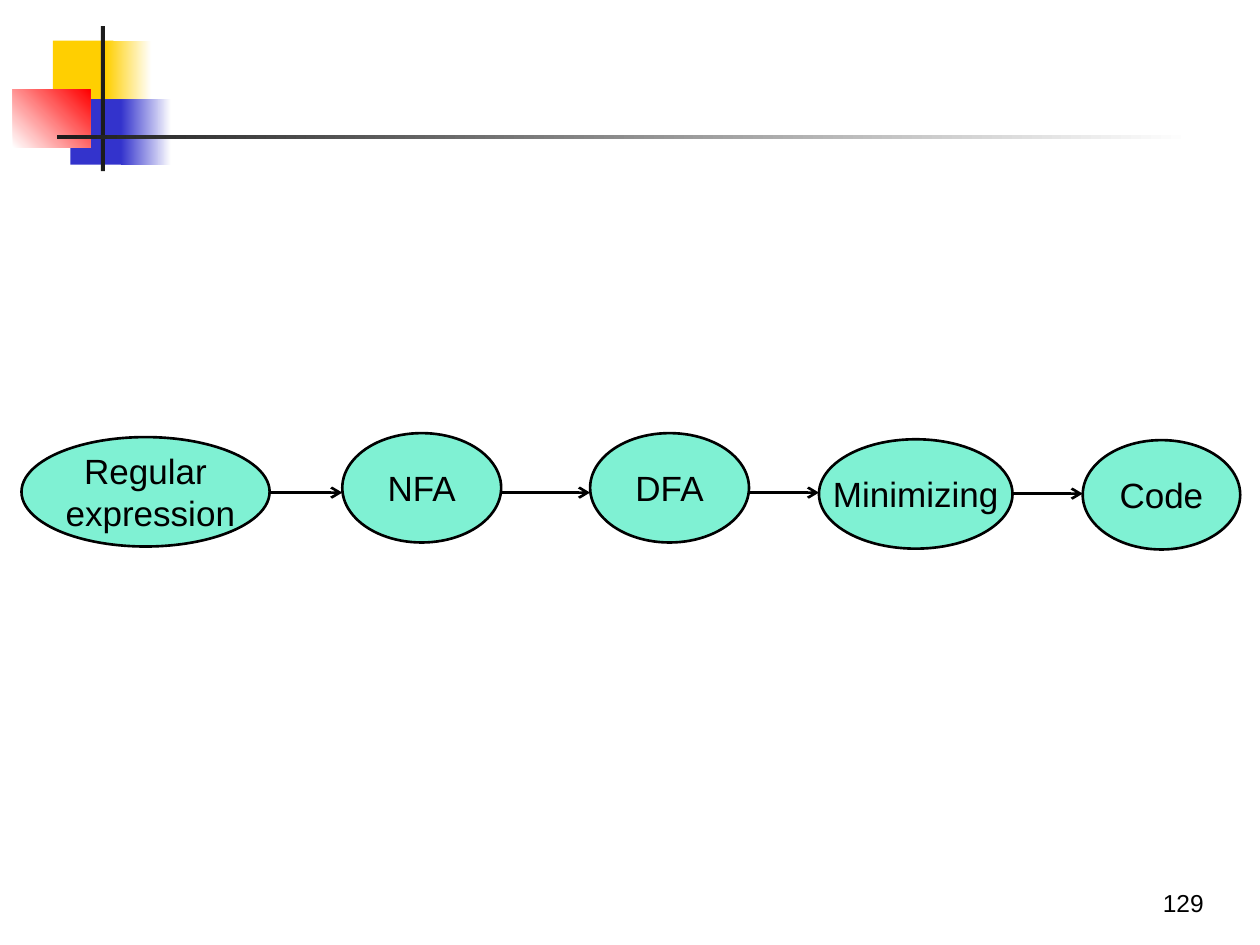
from lxml import etree
from pptx import Presentation
from pptx.dml.color import RGBColor
from pptx.enum import shapes, text
from pptx.oxml import ns
from pptx.util import Pt

COLORS = {"yellow": "FFCF01", "blue": "3333CC", "red": "FF0000", "white": "FFFFFF",
          "dark": "1C1C1C", "mint": "00E4A8", "black": "000000"}


def rgb(name):
    """Return the palette colour with this name."""
    return RGBColor.from_string(COLORS[name])


def write(tf, lines, size, align, anchor):
    """Fill a text frame with one paragraph per line."""
    tf.vertical_anchor = anchor
    for i, line in enumerate(lines):
        p = tf.paragraphs[0] if i == 0 else tf.add_paragraph()
        p.text = line
        p.alignment = align
        p.font.name, p.font.size = "Arial", Pt(size)
        p.font.color.rgb = rgb("black")


prs = Presentation()
prs.slide_width, prs.slide_height = Pt(720), Pt(540)
slide = prs.slides.add_slide(prs.slide_layouts[6])

# Corner ornament: left, top, width, height, start colour, end colour, angle
ornament = [
    (30.2, 23.2, 34.6, 37.4, "yellow", None, 0),
    (60.5, 23.2, 26, 37.4, "yellow", "white", 0),
    (40.2, 56.7, 33.2, 37.4, "blue", None, 0),
    (69, 56.7, 29, 37.4, "blue", "white", 0),
    (7.3, 51, 44.2, 33.4, "white", "red", 45),
    (57.6, 15, 2.4, 82.8, "dark", None, 0),
    (32.5, 77, 648, 2.4, "dark", "white", 0),
]
for left, top, width, height, start, end, angle in ornament:
    sp = slide.shapes.add_shape(shapes.MSO_SHAPE.RECTANGLE,
                                Pt(left), Pt(top), Pt(width), Pt(height))
    sp.shadow.inherit = False
    sp.line.fill.background()
    if end:
        sp.fill.gradient()
        sp.fill.gradient_angle = angle
        for stop, name in zip(sp.fill.gradient_stops, (start, end)):
            stop.color.rgb = rgb(name)
    else:
        sp.fill.solid()
        sp.fill.fore_color.rgb = rgb(start)

number = slide.shapes.add_textbox(Pt(545), Pt(491.8), Pt(150), Pt(36))
number.text_frame.word_wrap = True
write(number.text_frame, ["129"], 14, text.PP_ALIGN.RIGHT, text.MSO_ANCHOR.BOTTOM)

# Stages: lines, left, top, width, height of the incoming arrow
stages = [
    (["Regular", " expression"], 12.3, 249.8, 141.8, None),
    (["NFA"], 195.6, 247.5, 90.8, 281.5),
    (["DFA"], 337.2, 247.5, 90.8, 281.5),
    (["Minimizing"], 468, 251, 110.6, 281.5),
    (["Code"], 618.7, 251.5, 90, 282.1),
]
previous_right = None
for lines, left, top, width, arrow_y in stages:
    parent = slide.shapes if arrow_y is None else slide.shapes.add_group_shape().shapes
    sp = parent.add_shape(shapes.MSO_SHAPE.OVAL, Pt(left), Pt(top), Pt(width), Pt(62.5))
    sp.shadow.inherit = False
    sp.fill.solid()
    sp.fill.fore_color.rgb = rgb("mint")
    color = sp.fill._xPr.find(".//" + ns.qn("a:srgbClr"))
    etree.SubElement(color, ns.qn("a:alpha"), val="50000")
    sp.line.color.rgb = rgb("black")
    sp.line.width = Pt(1.5)
    sp.text_frame.word_wrap = False
    write(sp.text_frame, lines, 20, text.PP_ALIGN.CENTER, text.MSO_ANCHOR.MIDDLE)

    if arrow_y is not None:
        arrow = parent.add_connector(shapes.MSO_CONNECTOR.STRAIGHT, Pt(previous_right),
                                     Pt(arrow_y), Pt(left), Pt(arrow_y))
        arrow.line.color.rgb = rgb("black")
        arrow.line.width = Pt(1.5)
        etree.SubElement(arrow.line._get_or_add_ln(), ns.qn("a:tailEnd"), type="arrow")
        etree.SubElement(arrow._element.spPr, ns.qn("a:effectLst"))
    previous_right = left + width

prs.save("out.pptx")
